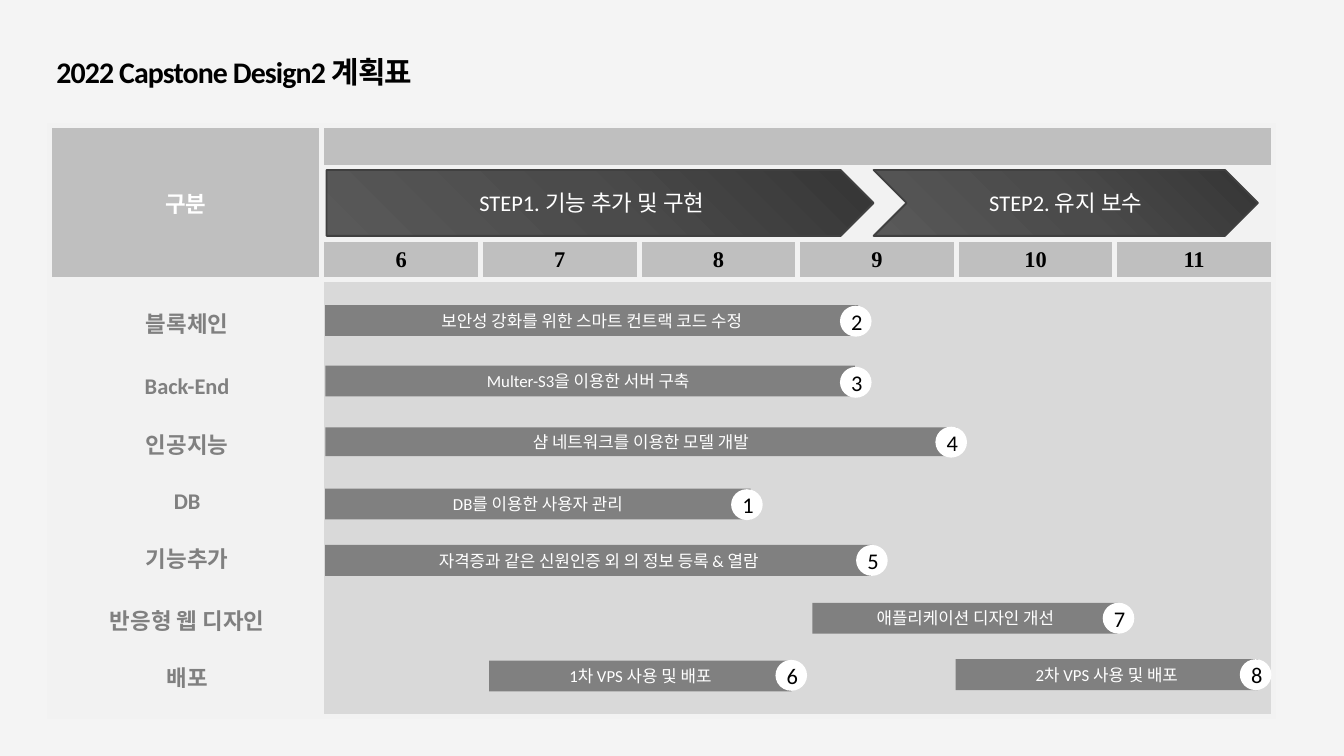
from copy import deepcopy
from typing import NamedTuple

from pptx import Presentation
from pptx.dml.color import RGBColor
from pptx.enum.shapes import MSO_SHAPE
from pptx.enum.text import MSO_ANCHOR, MSO_AUTO_SIZE, PP_ALIGN
from pptx.oxml.ns import qn
from pptx.util import Emu, Pt
from lxml import etree

RECT, OVAL = MSO_SHAPE.RECTANGLE, MSO_SHAPE.OVAL
PENTAGON, CHEVRON = MSO_SHAPE.PENTAGON, MSO_SHAPE.CHEVRON
CENTER, LEFT = PP_ALIGN.CENTER, PP_ALIGN.LEFT
MIDDLE, TOP = MSO_ANCHOR.MIDDLE, MSO_ANCHOR.TOP
GROW = MSO_AUTO_SIZE.SHAPE_TO_FIT_TEXT

EMU_PER_PX = 9144  # 100 px to the inch
WHITE, BLACK, GRAY = "FFFFFF", "000000", "808080"
HEADER, PALE, CHART_AREA = "BFBFBF", "F2F2F2", "D9D9D9"
STEP_GRADIENT = ((0, "353535"), (0.5, "4B4B4B"), (1, "595959"))

TITLE_FONT = {"name": "Calibri", "size": Pt(32), "bold": True}
LABEL_FONT = {"name": "Calibri", "size": Pt(24), "bold": True}
STEP_FONT = {"name": "Calibri", "size": Pt(24)}
TASK_FONT = {"name": "Calibri", "size": Pt(18)}
TABLE_FONT = {"name": "Times New Roman", "size": Pt(24), "bold": True}

LABEL_CENTER, LABEL_HEIGHT = 278, 50
BADGE_WIDTH, BADGE_HEIGHT = 47, 46
FIRST_MONTH_LEFT = 484


class Box(NamedTuple):
    left: int
    top: int
    width: int
    height: int


class Step(NamedTuple):
    text: str
    kind: int
    box: Box


class Category(NamedTuple):
    text: str
    top: int
    width: int = 165


class Task(NamedTuple):
    text: str
    box: Box
    order: str
    badge_left: int
    badge_top: int


STEPS = (
    Step("STEP2. 유지 보수", CHEVRON, Box(1300, 253, 572, 98)),
    Step("STEP1. 기능 추가 및 구현", PENTAGON, Box(486, 253, 814, 98)),
)
CATEGORIES = (
    Category("블록체인", 456),
    Category("Back-End", 549),
    Category("인공지능", 636),
    Category("DB", 720),
    Category("기능추가", 807),
    Category("반응형 웹 디자인", 899, 273),
    Category("배포", 983),
)
TASKS = (
    Task("보안성 강화를 위한 스마트 컨트랙 코드 수정",
         Box(FIRST_MONTH_LEFT, 454, 793, 46), "2", 1250, 455),
    Task("Multer-S3을 이용한 서버 구축 ",
         Box(FIRST_MONTH_LEFT, 544, 788, 46), "3", 1250, 546),
    Task("샴 네트워크를 이용한 모델 개발",
         Box(FIRST_MONTH_LEFT, 636, 939, 43), "4", 1392, 635),
    Task("DB를 이용한 사용자 관리",
         Box(FIRST_MONTH_LEFT, 727, 633, 46), "1", 1088, 728),
    Task("자격증과 같은 신원인증 외 의 정보 등록 & 열람",
         Box(FIRST_MONTH_LEFT, 811, 814, 46), "5", 1274, 811),
    Task("애플리케이션 디자인 개선", Box(1209, 897, 455, 46), "7", 1641, 897),
    Task("1차 VPS 사용 및 배포", Box(728, 983, 450, 46), "6", 1154, 982),
    Task("2차 VPS 사용 및 배포", Box(1422, 981, 450, 46), "8", 1845, 981),
)
COLUMNS = (405,) + (236,) * 6
ROWS = (62, 108, 53, 651)
MONTHS = range(6, 12)


def px(length: int) -> Emu:
    return Emu(length * EMU_PER_PX)


def emu(box: Box) -> list[Emu]:
    return [px(length) for length in box]


def rgb(color: str) -> RGBColor:
    return RGBColor.from_string(color)


def paint(fill, color: str) -> None:
    fill.solid()
    fill.fore_color.rgb = rgb(color)


def write(frame, text: str, font: dict, color: str, align=CENTER) -> None:
    paragraph = frame.paragraphs[0]
    paragraph.alignment = align
    run = paragraph.add_run()
    run.text = text
    for name, value in font.items():
        setattr(run.font, name, value)
    run.font.color.rgb = rgb(color)


def add_block(slide, kind: int, box: Box, color: str, text: str,
              font: dict, text_color: str):
    block = slide.shapes.add_shape(kind, *emu(box))
    block.shadow.inherit = False
    paint(block.fill, color)
    block.line.fill.background()
    block.text_frame.vertical_anchor = MIDDLE
    write(block.text_frame, text, font, text_color)
    return block


def add_text(slide, box: Box, text: str, font: dict, color: str,
             align=CENTER, anchor=TOP):
    frame = slide.shapes.add_textbox(*emu(box)).text_frame
    frame.word_wrap = True
    frame.auto_size = GROW
    frame.vertical_anchor = anchor
    write(frame, text, font, color, align)
    return frame


def add_step(slide, step: Step) -> None:
    arrow = add_block(slide, step.kind, step.box, GRAY, step.text, STEP_FONT, WHITE)
    arrow.fill.gradient()
    arrow.fill.gradient_angle = 225
    stop_list = next(arrow.fill._xPr.iter(qn("a:gsLst")))
    stop_list.append(deepcopy(stop_list[0]))
    for stop, (position, color) in zip(arrow.fill.gradient_stops, STEP_GRADIENT):
        stop.position = position
        stop.color.rgb = rgb(color)
    paint(arrow.line.fill, "404040")
    arrow.line.width = Pt(2)


def add_task(slide, task: Task) -> None:
    add_block(slide, RECT, task.box, GRAY, task.text, TASK_FONT, WHITE)
    badge = Box(task.badge_left, task.badge_top, BADGE_WIDTH, BADGE_HEIGHT)
    add_block(slide, OVAL, badge, WHITE, task.order, STEP_FONT, BLACK)


def add_borders(cell) -> None:
    properties = cell._tc.get_or_add_tcPr()
    for side in ("lnL", "lnR", "lnT", "lnB"):
        line = etree.SubElement(properties, qn(f"a:{side}"), w=str(Pt(6)))
        solid = etree.SubElement(line, qn("a:solidFill"))
        etree.SubElement(solid, qn("a:srgbClr"), val=PALE)


def add_schedule(slide) -> None:
    box = Box(74, 187, sum(COLUMNS), sum(ROWS))
    table = slide.shapes.add_table(len(ROWS), len(COLUMNS), *emu(box)).table
    table.first_row = table.horz_banding = False
    for column, width in zip(table.columns, COLUMNS):
        column.width = px(width)
    for row, height in zip(table.rows, ROWS):
        row.height = px(height)

    row_colors = (HEADER, PALE, HEADER, CHART_AREA)
    for r, color in enumerate(row_colors):
        for c in range(len(COLUMNS)):
            cell = table.cell(r, c)
            add_borders(cell)
            first_color = PALE if r == 3 else HEADER
            paint(cell.fill, color if c else first_color)
            cell.vertical_anchor = MIDDLE

    table.cell(0, 0).merge(table.cell(2, 0))
    for r in (0, 1, 3):
        table.cell(r, 1).merge(table.cell(r, 6))
    write(table.cell(0, 0).text_frame, "구분", TABLE_FONT, WHITE)
    for c, month in enumerate(MONTHS, start=1):
        write(table.cell(2, c).text_frame, str(month), TABLE_FONT, BLACK)


def main() -> None:
    deck = Presentation()
    deck.slide_width, deck.slide_height = px(2000), px(1125)
    slide = deck.slides.add_slide(deck.slide_layouts[6])
    paint(slide.background.fill, "F4F4F4")

    add_schedule(slide)
    for step in STEPS:
        add_step(slide, step)
    for category in CATEGORIES:
        box = Box(LABEL_CENTER - category.width // 2, category.top,
                  category.width, LABEL_HEIGHT)
        add_text(slide, box, category.text, LABEL_FONT, GRAY)
    for task in TASKS:
        add_task(slide, task)

    title = add_text(slide, Box(74, 75, 926, 64), "2022 Capstone Design2 계획표",
                     TITLE_FONT, BLACK, LEFT, MIDDLE)
    title.paragraphs[0].runs[0].font._element.set("spc", "-100")
    deck.save("out.pptx")


if __name__ == "__main__":
    main()
